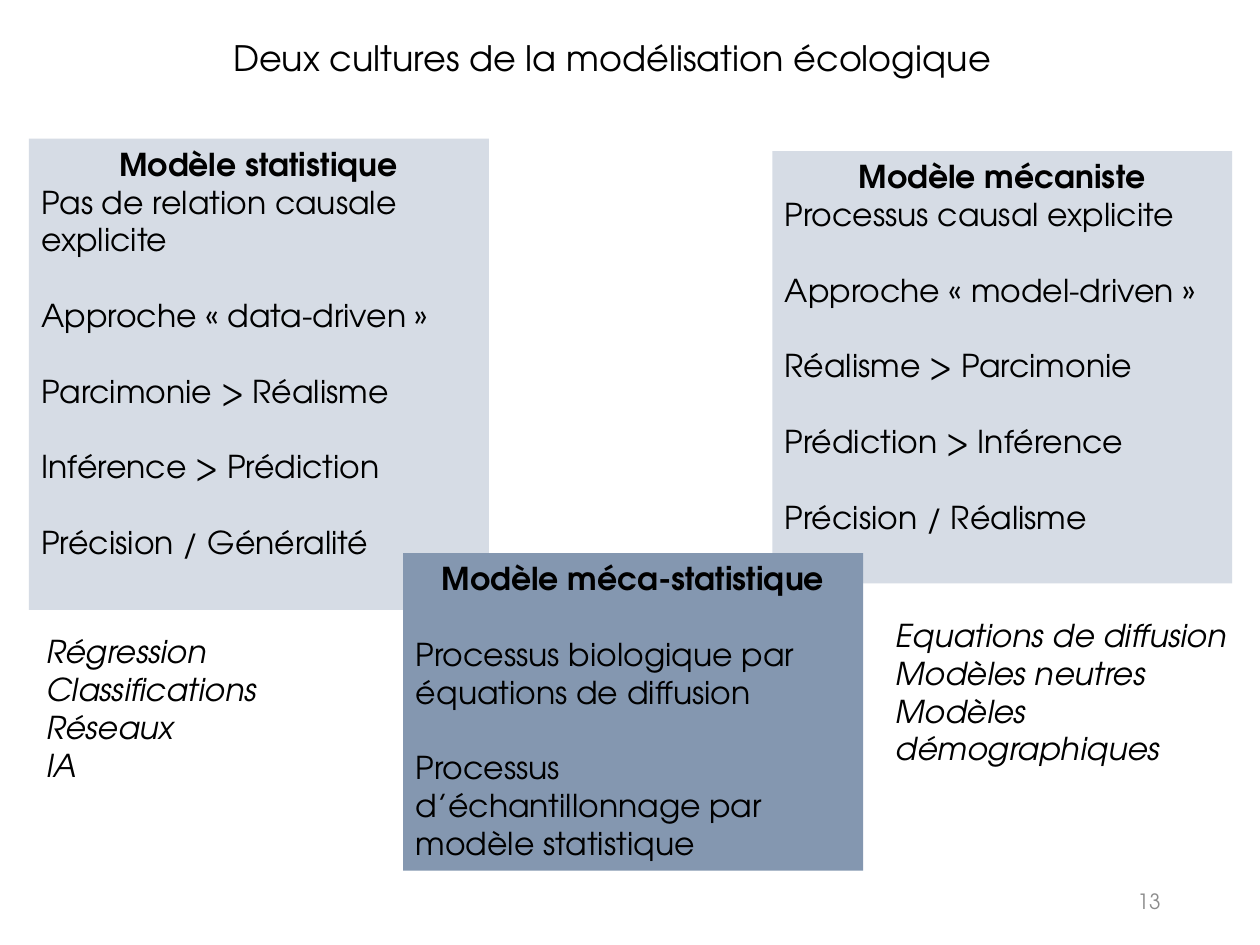
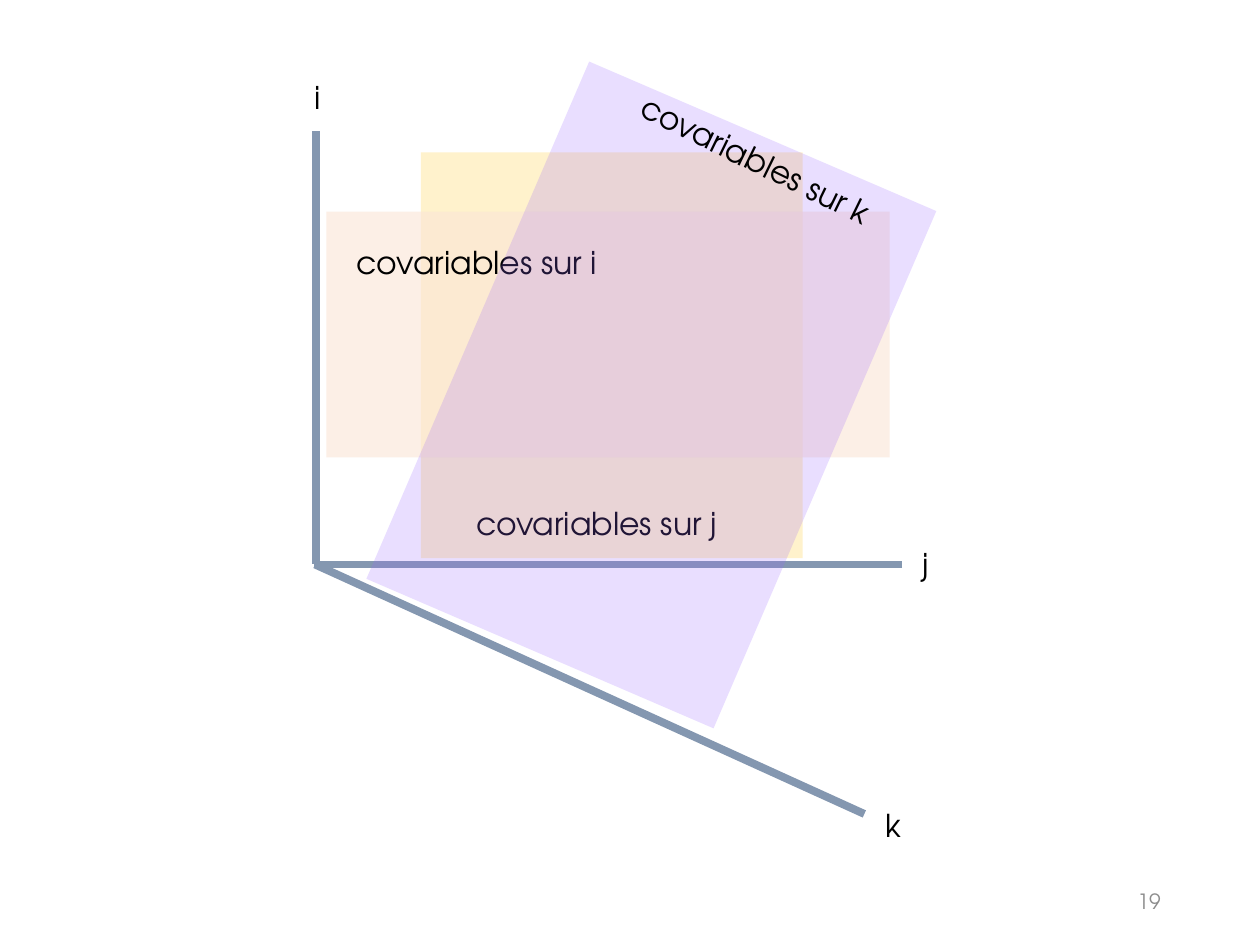
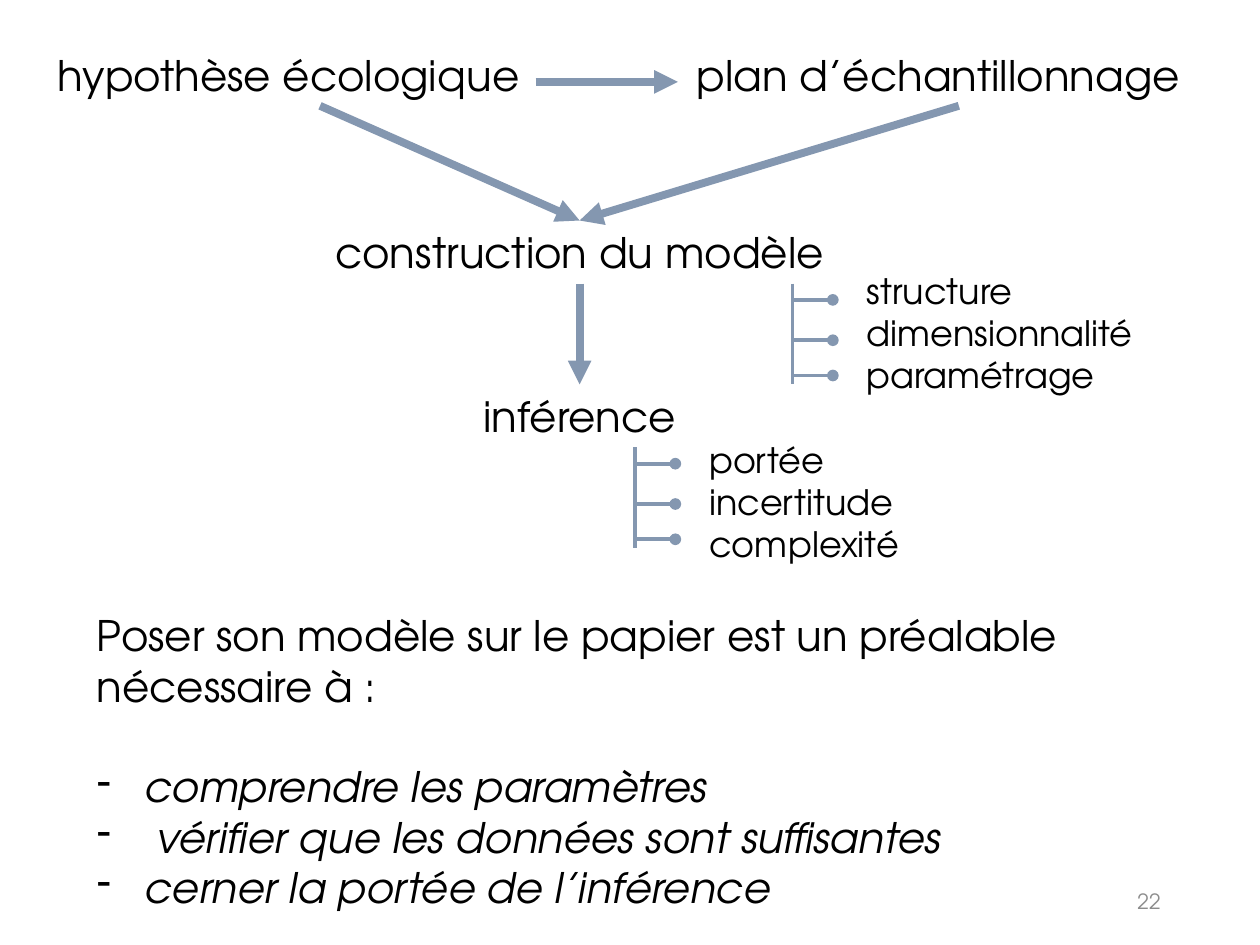
from dataclasses import dataclass
from typing import NamedTuple

from lxml.etree import SubElement
from pptx import Presentation
from pptx.dml.color import RGBColor
from pptx.enum.shapes import MSO_CONNECTOR, MSO_SHAPE
from pptx.enum.text import MSO_ANCHOR, PP_ALIGN
from pptx.oxml.ns import qn
from pptx.util import Pt

SCALE = 9144  # EMU in one px, 100 px to the inch


@dataclass(frozen=True)
class Theme:
    font: str = "TeX Gyre Adventor"
    ink: str = "000000"
    grey: str = "8C8C8C"
    steel: str = "8497B0"
    mist: str = "D6DCE5"
    sand: str = "FFF2CC"
    peach: str = "FBE5D6"
    violet: str = "9966FF"
    small: int = 12
    body: int = 18
    head: int = 20
    big: int = 24
    thick: float = 4.5
    thin: float = 2.25
    leading: float = 1.2


THEME = Theme()


class Box(NamedTuple):
    x: int
    y: int
    w: int
    h: int

    def sub(self, x, y, w, h):
        """Box placed relative to this one's corner."""
        return Box(self.x + x, self.y + y, w, h)

    def spot(self, x, y):
        return self.x + x, self.y + y

    def emu(self):
        return [v * SCALE for v in self]


@dataclass(frozen=True)
class Para:
    text: str
    bold: bool = False
    slant: bool = False
    align: PP_ALIGN = PP_ALIGN.LEFT
    gap: bool = False
    dash: bool = False


PAGE = Box(0, 0, 1000, 750)


def tint(fill, hue, alpha=100):
    fill.solid()
    fill.fore_color.rgb = RGBColor.from_string(hue)
    if alpha < 100:
        node = fill._xPr.find(".//" + qn("a:srgbClr"))
        SubElement(node, qn("a:alpha"), val=str(alpha * 1000))


def write(slide, box, paras, size, hue=THEME.ink, turn=0):
    """Text box; a Para with gap stands one line below the one before."""
    shape = slide.shapes.add_textbox(*box.emu())
    shape.rotation = turn
    frame = shape.text_frame
    frame.word_wrap = True
    for n, item in enumerate(paras):
        para = frame.add_paragraph() if n else frame.paragraphs[0]
        para.alignment = item.align
        if item.gap:
            para.space_before = Pt(size * THEME.leading)
        if item.dash:
            props = para._p.get_or_add_pPr()
            props.set("marL", str(38 * SCALE))
            props.set("indent", str(-38 * SCALE))
            SubElement(props, qn("a:buChar"), char="-")
        run = para.add_run()
        run.text = item.text
        font = run.font
        font.name, font.size = THEME.font, Pt(size)
        font.bold, font.italic = item.bold, item.slant
        font.color.rgb = RGBColor.from_string(hue)
    return shape


def link(slide, start, end, width=THEME.thick, tip=None):
    ends = [v * SCALE for v in (*start, *end)]
    line = slide.shapes.add_connector(MSO_CONNECTOR.STRAIGHT, *ends)
    line.line.width = Pt(width)
    tint(line.line.fill, THEME.steel)
    if tip:
        SubElement(line.line._get_or_add_ln(), qn("a:tailEnd"), type=tip)
    SubElement(line._element.spPr, qn("a:effectLst"))
    return line


def pane(slide, box, hue, alpha=100, turn=0):
    shape = slide.shapes.add_shape(MSO_SHAPE.RECTANGLE, *box.emu())
    shape.shadow.inherit = False
    shape.line.fill.background()
    tint(shape.fill, hue, alpha)
    shape.rotation = turn


def number(slide, box, page):
    para = Para(str(page), align=PP_ALIGN.RIGHT)
    shape = write(slide, box, [para], THEME.small, THEME.grey)
    shape.text_frame.vertical_anchor = MSO_ANCHOR.MIDDLE


def card(slide, box, hue, title, lines, first=False):
    """Filled panel; first tells if a gap parts the title from the lines."""
    paras = [Para(title, bold=True, align=PP_ALIGN.CENTER)]
    paras += [Para(t, gap=first or n > 0) for n, t in enumerate(lines)]
    shape = write(slide, box, paras, THEME.body)
    tint(shape.fill, hue)


def models(slide, box):
    title = Para("Deux cultures de la modélisation écologique",
                 align=PP_ALIGN.CENTER)
    write(slide, box.sub(110, 24, 752, 44), [title], THEME.head)
    notes = [
        ((27, 497, 220, 131),
         ["Régression", "Classifications", "Réseaux", "IA"]),
        ((701, 484, 299, 131),
         ["Equations de diffusion", "Modèles neutres",
          "Modèles démographiques"]),
    ]
    for place, words in notes:
        write(slide, box.sub(*place), [Para(t, slant=True) for t in words],
              THEME.body)
    card(slide, box.sub(23, 110, 365, 374), THEME.mist, "Modèle statistique",
         ["Pas de relation causale explicite", "Approche « data-driven »",
          "Parcimonie > Réalisme", "Inférence > Prédiction",
          "Précision / Généralité"])
    card(slide, box.sub(613, 120, 365, 343), THEME.mist, "Modèle mécaniste",
         ["Processus causal explicite", "Approche « model-driven »",
          "Réalisme > Parcimonie", "Prédiction > Inférence",
          "Précision / Réalisme"])
    card(slide, box.sub(320, 439, 365, 252), THEME.steel,
         "Modèle méca-statistique",
         ["Processus biologique par équations de diffusion",
          "Processus d’échantillonnage par modèle statistique"], first=True)


def axes(slide, box):
    for name, start, end, label in [
        ("i", (11, 64), (11, 408), (0, 17)),
        ("j", (476, 408), (9, 408), (482, 388)),
        ("k", (446, 606), (10, 408), (453, 595)),
    ]:
        link(slide, box.spot(*start), box.spot(*end))
        write(slide, box.sub(*label, 82, 40), [Para(name)], THEME.body)


def space(slide, box):
    """Three axes, with one tinted pane of covariates for each."""
    def label(name, x, y, turn=0):
        write(slide, box.sub(x, y, 238, 40), [Para(f"covariables sur {name}")],
              THEME.body, turn=turn)

    pane(slide, box.sub(94, 81, 303, 322), THEME.sand)
    axes(slide, box)
    label("j", 128, 355)
    pane(slide, box.sub(145, 2, 195, 447), THEME.peach, 60, 90)
    label("i", 33, 148)
    pane(slide, box.sub(127, 50, 300, 447), THEME.violet, 21, 23.3)
    label("k", 250, 71, 26)


def fork(slide, box, drop, words):
    """Rail with a dotted tooth for each word; drop is the rail's top."""
    link(slide, box.spot(0, drop), box.spot(0, drop + 80), THEME.thin)
    for y in (13, 45, 73):
        link(slide, box.spot(0, drop + y), box.spot(32, drop + y),
             THEME.thin, "oval")
    write(slide, box.sub(49, 0, box.w - 49, box.h),
          [Para(t) for t in words], THEME.head)


def flow(slide, box):
    def node(text, x, y, align=PP_ALIGN.CENTER):
        return write(slide, box.sub(x, y, 436, 50), [Para(text, align=align)],
                     THEME.big)

    idea = node("hypothèse écologique", 0, 0, PP_ALIGN.LEFT)
    plan = node("plan d’échantillonnage", 507, 0, PP_ALIGN.LEFT)
    build = node("construction du modèle", 206, 141)
    infer = node("inférence", 206, 271)
    link(slide, box.spot(389, 31), box.spot(502, 31), tip="triangle")
    for start, end in [(idea, build), (plan, build), (build, infer)]:
        line = link(slide, (0, 0), (1, 1), tip="triangle")
        line.begin_connect(start, 2)
        line.end_connect(end, 0)
    fork(slide, box.sub(593, 175, 359, 178), 16,
         ["structure", "dimensionnalité", "paramétrage"])
    fork(slide, box.sub(468, 309, 359, 145), 12,
         ["portée", "incertitude", "complexité"])


def memo(slide, box):
    goals = ["comprendre les paramètres",
             " vérifier que les données sont suffisantes",
             "cerner la portée de l’inférence"]
    lead = Para("Poser son modèle sur le papier est un préalable "
                "nécessaire à :")
    items = [Para(t, slant=True, dash=True, gap=n == 0)
             for n, t in enumerate(goals)]
    write(slide, box, [lead, *items], THEME.big)


def method(slide, box):
    flow(slide, box.sub(36, 34, 943, 454))
    memo(slide, box.sub(67, 479, 875, 252))


def main():
    deck = Presentation()
    deck.slide_width, deck.slide_height = PAGE.w * SCALE, PAGE.h * SCALE
    for page, draw, box in [
        (13, models, PAGE),
        (19, space, PAGE.sub(240, 40, 564, 640)),
        (22, method, PAGE),
    ]:
        slide = deck.slides.add_slide(deck.slide_layouts[6])
        draw(slide, box)
        number(slide, PAGE.sub(706, 695, 225, 40), page)
    deck.save("out.pptx")


if __name__ == "__main__":
    main()
